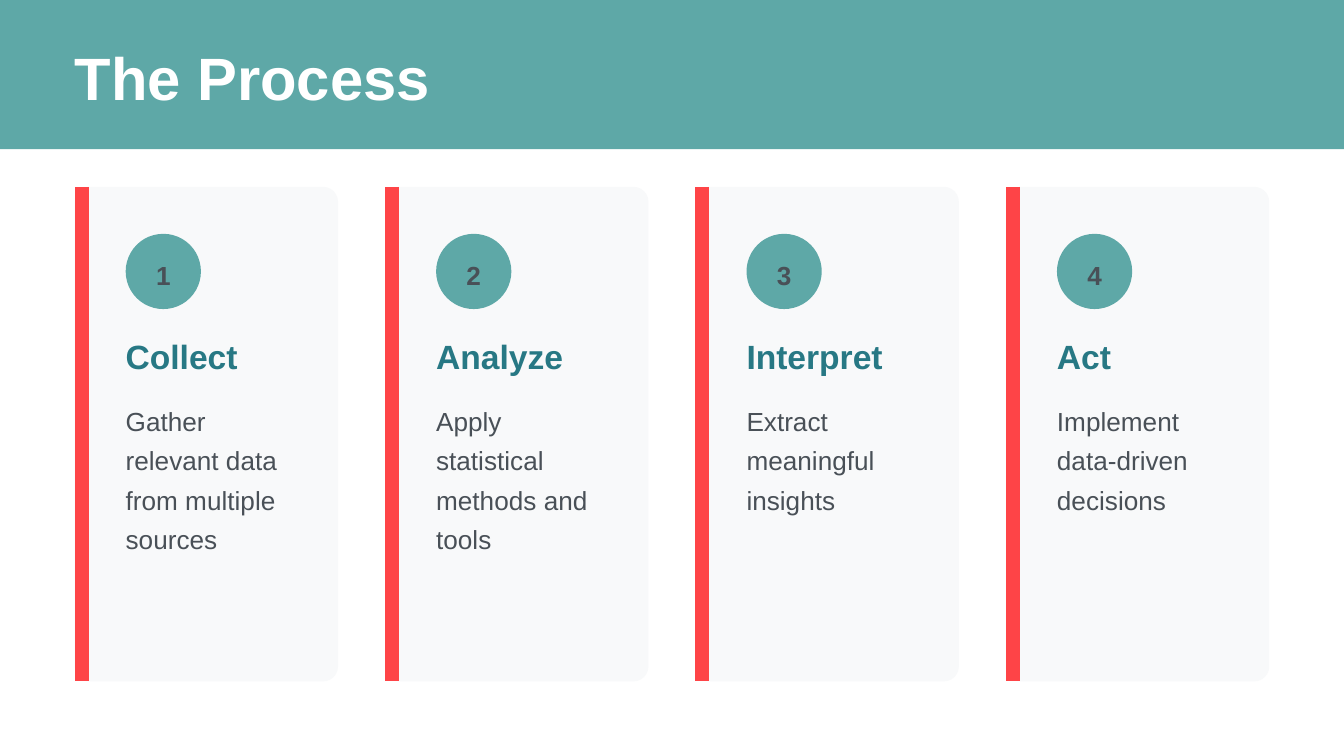
from lxml import etree
from pptx import Presentation
from pptx.dml.color import RGBColor
from pptx.enum.shapes import MSO_CONNECTOR, MSO_SHAPE
from pptx.enum.text import MSO_ANCHOR, MSO_AUTO_SIZE, PP_ALIGN
from pptx.oxml.ns import qn
from pptx.util import Inches, Pt

RECTANGLE, ROUNDED, OVAL = MSO_SHAPE.RECTANGLE, MSO_SHAPE.ROUNDED_RECTANGLE, MSO_SHAPE.OVAL
STRAIGHT = MSO_CONNECTOR.STRAIGHT
TOP, NO_AUTOFIT = MSO_ANCHOR.TOP, MSO_AUTO_SIZE.NONE
LEFT, CENTER = PP_ALIGN.LEFT, PP_ALIGN.CENTER

WHITE = RGBColor(0xFF, 0xFF, 0xFF)
TEAL = RGBColor(0x5E, 0xA8, 0xA7)
DARK_TEAL = RGBColor(0x27, 0x78, 0x84)
RED = RGBColor(0xFE, 0x44, 0x47)
PALE = RGBColor(0xF8, 0xF9, 0xFA)
GREY = RGBColor(0x49, 0x50, 0x57)
FONT = "Arial"

TITLE = "The Process"
STEPS = [
    ("Collect", "Gather relevant data from multiple sources", 4),
    ("Analyze", "Apply statistical methods and tools", 4),
    ("Interpret", "Extract meaningful insights", 3),
    ("Act", "Implement data-driven decisions", 3),
]

SLIDE_W = 10
SLIDE_H = SLIDE_W * 9 / 16
MARGIN = 40 / 72
BAND_H = 1.11
CARD_TOP, CARD_W, CARD_H = 1.39, 1.96, 3.68
CORNER = 0.057
ACCENT_PT = 7.5
ACCENT_OFFSET = ACCENT_PT / 72 / 2
PADDING = 0.38
CONTENT_W = 1.33
BADGE_TOP, BADGE_SIZE = 1.74, 0.56
NUMBER_TOP, NUMBER_W, NUMBER_H = 1.87, 0.11, 0.29
HEADING_TOP, HEADING_H = 2.5, 0.29
DETAIL_TOP = 2.96
LINE_PT = 21
PITCH = (SLIDE_W - 2 * MARGIN - CARD_W) / (len(STEPS) - 1)


def inches(*lengths):
    return [Inches(length) for length in lengths]


def add_block(slide, preset, box, color):
    block = slide.shapes.add_shape(preset, *inches(*box))
    block.shadow.inherit = False
    block.fill.solid()
    block.fill.fore_color.rgb = color
    block.line.fill.background()
    return block


def write(holder, text, size, color, bold=False, align=LEFT, wrap=True, spacing=None):
    frame = holder.text_frame
    frame.text = text
    frame.word_wrap = wrap
    frame.auto_size = NO_AUTOFIT
    frame.vertical_anchor = TOP
    frame.margin_left = frame.margin_top = frame.margin_right = frame.margin_bottom = 0
    paragraph = frame.paragraphs[0]
    paragraph.alignment = align
    if spacing:
        paragraph.line_spacing = Pt(spacing)
    font = paragraph.runs[0].font
    font.name, font.size, font.bold = FONT, Pt(size), bold
    font.color.rgb = color


def add_text(slide, box, *content, **style):
    write(slide.shapes.add_textbox(*inches(*box)), *content, **style)


def add_accent(slide, x):
    accent = slide.shapes.add_connector(
        STRAIGHT, *inches(x, CARD_TOP, x, CARD_TOP + CARD_H))
    accent.line.color.rgb = RED
    accent.line.width = Pt(ACCENT_PT)
    etree.SubElement(accent.element.spPr, qn("a:effectLst"))


def add_header(slide):
    band = add_block(slide, RECTANGLE, (0, 0, SLIDE_W, BAND_H), TEAL)
    title = slide.shapes.title
    title.left, title.top, title.width, title.height = inches(MARGIN, 0.3, 2.7, 0.51)
    write(title, TITLE, 32, WHITE, bold=True, wrap=False)
    title.element.addprevious(band.element)


def add_step(slide, index, heading, detail, detail_lines):
    left = MARGIN + index * PITCH
    content_left = left + PADDING
    number_left = content_left + (BADGE_SIZE - NUMBER_W) / 2
    detail_h = detail_lines * LINE_PT / 72

    card = add_block(slide, ROUNDED, (left, CARD_TOP, CARD_W, CARD_H), PALE)
    card.adjustments[0] = CORNER
    add_accent(slide, left + ACCENT_OFFSET)
    add_block(slide, OVAL, (content_left, BADGE_TOP, BADGE_SIZE, BADGE_SIZE), TEAL)
    add_text(slide, (number_left, NUMBER_TOP, NUMBER_W, NUMBER_H), str(index + 1),
             14, GREY, bold=True, align=CENTER, wrap=False, spacing=LINE_PT)
    add_text(slide, (content_left, HEADING_TOP, CONTENT_W, HEADING_H), heading,
             18, DARK_TEAL, bold=True)
    add_text(slide, (content_left, DETAIL_TOP, CONTENT_W, detail_h), detail,
             14, GREY, spacing=LINE_PT)


def main():
    deck = Presentation()
    deck.slide_width, deck.slide_height = inches(SLIDE_W, SLIDE_H)
    slide = deck.slides.add_slide(deck.slide_layouts.get_by_name("Title Only"))
    add_header(slide)
    for index, step in enumerate(STEPS):
        add_step(slide, index, *step)
    deck.save("out.pptx")


if __name__ == "__main__":
    main()
